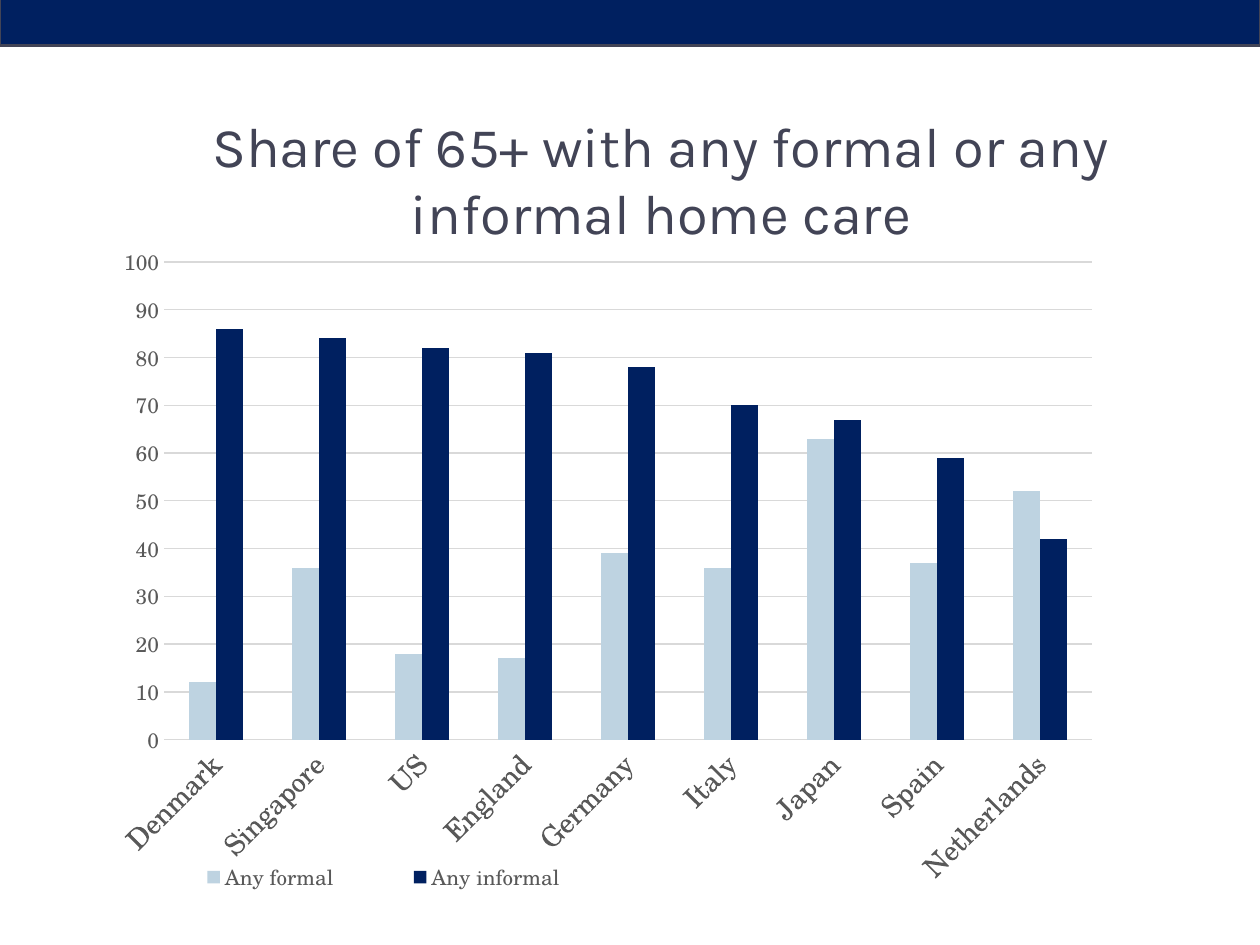
from lxml import etree
from pptx import Presentation
from pptx.chart.data import CategoryChartData
from pptx.dml.color import RGBColor
from pptx.enum.chart import XL_CHART_TYPE, XL_LEGEND_POSITION, XL_TICK_MARK
from pptx.enum.shapes import MSO_SHAPE
from pptx.enum.text import MSO_ANCHOR, MSO_AUTO_SIZE, PP_ALIGN
from pptx.oxml.ns import qn
from pptx.util import Cm, Pt

COLUMNS = XL_CHART_TYPE.COLUMN_CLUSTERED
BOTTOM = XL_LEGEND_POSITION.BOTTOM
NO_TICK = XL_TICK_MARK.NONE
RECTANGLE = MSO_SHAPE.RECTANGLE
MIDDLE = MSO_ANCHOR.MIDDLE
NO_AUTOFIT = MSO_AUTO_SIZE.NONE
CENTER = PP_ALIGN.CENTER

NAVY, PALE_BLUE, SLATE = "002060", "BED3E1", "424456"
GREY, LIGHT_GREY = "595959", "D9D9D9"
TITLE_FONT, CHART_FONT = "Karla", "TeX Gyre Schola"

COUNTRIES = ["Denmark", "Singapore", "US", "England", "Germany",
             "Italy", "Japan", "Spain", "Netherlands"]
CARE_SERIES = [
    ("Any formal", [12, 36, 18, 17, 39, 36, 63, 37, 52], PALE_BLUE),
    ("Any informal", [86, 84, 82, 81, 78, 70, 67, 59, 42], NAVY),
]


def color(value):
    return RGBColor.from_string(value)


def style_font(font, name, size, value):
    font.name = name
    font.size = Pt(size)
    font.color.rgb = color(value)


def style_line(line, value, width):
    line.color.rgb = color(value)
    line.width = Pt(width)


def manual_layout(parent, index, box, inner=False):
    for old in parent.findall(qn("c:layout")):
        parent.remove(old)
    layout = etree.Element(qn("c:layout"))
    manual = etree.SubElement(layout, qn("c:manualLayout"))
    settings = [("layoutTarget", "inner")] if inner else []
    settings += [("xMode", "edge"), ("yMode", "edge")]
    settings += zip("xywh", box)
    for tag, value in settings:
        etree.SubElement(manual, qn(f"c:{tag}")).set("val", str(value))
    parent.insert(index, layout)


def add_band(page, left, top, width, height):
    band = page.shapes.add_shape(RECTANGLE, left, top, width, height)
    band.shadow.inherit = False
    band.fill.solid()
    band.fill.fore_color.rgb = color(NAVY)
    style_line(band.line, SLATE, 1.5)


def set_title(page, text, left, top, width, height):
    title = page.shapes.title
    title.left, title.top, title.width, title.height = left, top, width, height
    frame = title.text_frame
    frame.text = text
    frame.word_wrap = True
    frame.auto_size = NO_AUTOFIT
    frame.vertical_anchor = MIDDLE
    para = frame.paragraphs[0]
    para.alignment = CENTER
    style_font(para.font, TITLE_FONT, 32, SLATE)


def style_axes(chart):
    countries, shares = chart.category_axis, chart.value_axis
    for axis, size in ((countries, 16), (shares, 12)):
        axis.major_tick_mark = axis.minor_tick_mark = NO_TICK
        style_font(axis.tick_labels.font, CHART_FONT, size, GREY)
    style_line(countries.format.line, LIGHT_GREY, 0.75)
    label_body = countries._element.find(qn("c:txPr")).find(qn("a:bodyPr"))
    label_body.set("rot", "-2700000")
    label_body.set("vert", "horz")
    shares.minimum_scale, shares.maximum_scale, shares.major_unit = 0, 100, 10
    shares.format.line.fill.background()
    shares.has_major_gridlines = True
    style_line(shares.major_gridlines.format.line, LIGHT_GREY, 0.75)


def add_care_chart(page, left, top, width, height):
    chart_data = CategoryChartData()
    chart_data.categories = COUNTRIES
    for name, values, _ in CARE_SERIES:
        chart_data.add_series(name, values)
    chart = page.shapes.add_chart(COLUMNS, left, top, width, height, chart_data).chart
    chart.has_title = False
    style_font(chart.font, CHART_FONT, 10, "000000")

    plot = chart.plots[0]
    plot.gap_width = 182
    plot.overlap = 0
    plot.vary_by_categories = False
    for series, (_, _, fill) in zip(plot.series, CARE_SERIES):
        series.format.fill.solid()
        series.format.fill.fore_color.rgb = color(fill)
    style_axes(chart)

    chart.has_legend = True
    legend = chart.legend
    legend.position = BOTTOM
    legend.include_in_layout = False
    style_font(legend.font, CHART_FONT, 12, GREY)
    manual_layout(legend._element, 1, (0.04, 0.93, 0.5, 0.06))
    plot_area = chart._chartSpace.chart.plotArea
    manual_layout(plot_area, 0, (0.07, 0.02, 0.93, 0.73), inner=True)


def main():
    deck = Presentation()
    deck.slide_width, deck.slide_height = Cm(25.4), Cm(19.05)
    page = deck.slides.add_slide(deck.slide_layouts[5])
    add_care_chart(page, Cm(1.9), Cm(4.98), Cm(20.12), Cm(13.23))
    set_title(page, "Share of 65+ with any formal or any informal home care",
              Cm(1.9), Cm(2.11), Cm(22.86), Cm(2.97))
    add_band(page, Cm(0), Cm(-0.15), deck.slide_width, Cm(1.07))
    deck.save("out.pptx")


if __name__ == "__main__":
    main()
